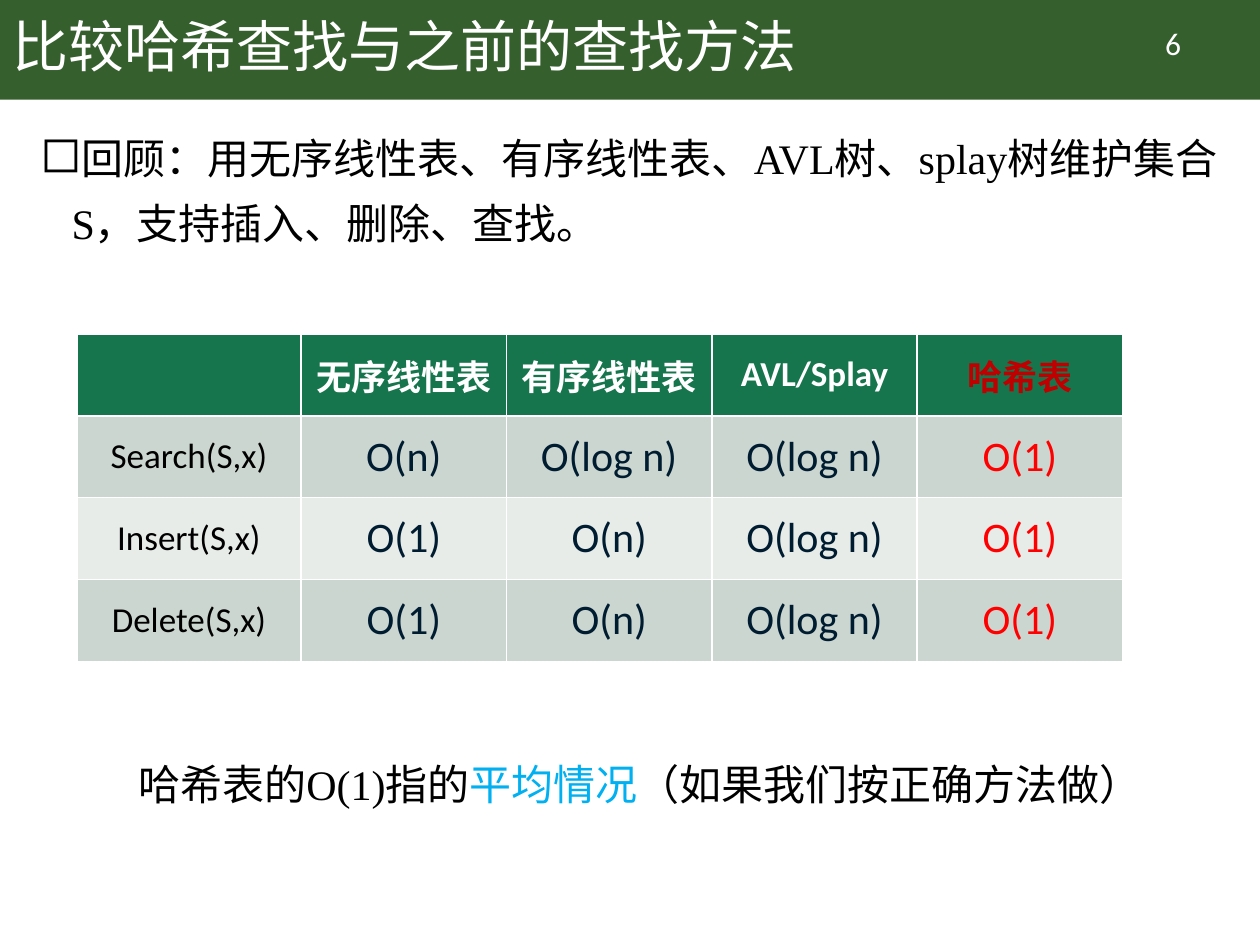
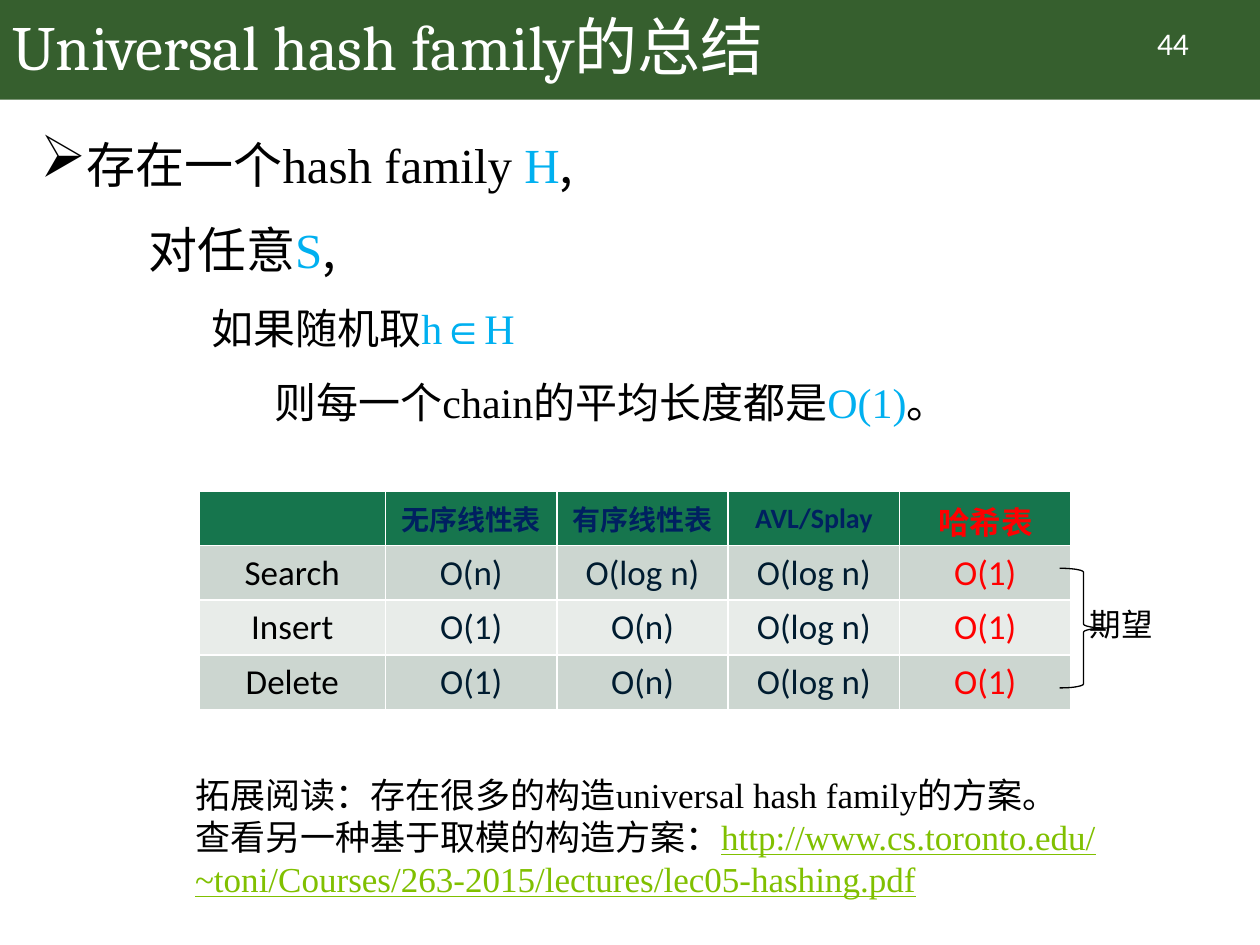
from pptx import Presentation
from pptx.dml.color import RGBColor
from pptx.enum.shapes import MSO_SHAPE
from pptx.enum.text import MSO_ANCHOR, MSO_AUTO_SIZE, PP_ALIGN
from pptx.oxml import parse_xml
from pptx.oxml.ns import nsdecls
from pptx.util import Inches, Pt

BAND, HEADER, STRIPES = "365F2E", "16754D", ("CCD6D0", "E8ECE9")
WHITE, BLACK, NAVY, INK = "FFFFFF", "000000", "002060", "001C30"
SKY, RED, DARK_RED, LINK = "00B0F0", "FF0000", "C00000", "80C000"
HAN, ROMAN, SANS, SERIF = "Noto Sans CJK SC", "Times New Roman", "Calibri", "Cambria"

METHODS = ["", "无序线性表", "有序线性表", "AVL/Splay", "哈希表"]
COSTS = {
    "Search": ["O(n)", "O(log n)", "O(log n)", "O(1)"],
    "Insert": ["O(1)", "O(n)", "O(log n)", "O(1)"],
    "Delete": ["O(1)", "O(n)", "O(log n)", "O(1)"],
}

COMPARISON = {
    "title": [("比较哈希查找与之前的查找方法", HAN, WHITE)],
    "title_size": 32,
    "number": "6",
    "bullet": "◻",
    "body": [(24, 0.25, [
        ("回顾：用无序线性表、有序线性表、", HAN, BLACK), ("AVL", ROMAN, BLACK),
        ("树、", HAN, BLACK), ("splay", ROMAN, BLACK), ("树维护集合", HAN, BLACK),
        ("S", ROMAN, BLACK), ("，支持插入、删除、查找。", HAN, BLACK)])],
    "table": {
        "place": (0.61, 2.65), "columns": (1.78, 1.63), "row": 0.65, "argument": "(S,x)",
        "header": (20, WHITE), "hash_header": (20, DARK_RED), "cost_size": 24,
    },
    "note": {
        "place": (1, 5.97, 8.3, 0.5), "size": 24,
        "lines": [[
            ("哈希表的", HAN, BLACK), ("O(1)", ROMAN, BLACK), ("指的", HAN, BLACK),
            ("平均情况", HAN, SKY), ("（如果我们按正确方法做）", HAN, BLACK)]],
    },
}

SUMMARY = {
    "title": [("Universal hash family的", SERIF, WHITE), ("总结", SANS, WHITE)],
    "title_size": 36,
    "number": "44",
    "bullet": "➢",
    "body": [
        (28, 0.25, [("存在一个", HAN, BLACK), ("hash family ", ROMAN, BLACK),
                    ("H", ROMAN, SKY), (",", HAN, BLACK)]),
        (28, 0.86, [("对任意", HAN, BLACK), ("S", ROMAN, SKY), (",", HAN, BLACK)]),
        (24, 1.36, [("如果随机取", HAN, BLACK), ("h∈H", ROMAN, SKY)]),
        (24, 1.86, [("则每一个", HAN, BLACK), ("chain", ROMAN, BLACK),
                    ("的平均长度都是", HAN, BLACK), ("O(1)", ROMAN, SKY), ("。", HAN, BLACK)]),
    ],
    "table": {
        "place": (1.58, 3.9), "columns": (1.48, 1.36), "row": 0.43, "argument": "",
        "header": (16, NAVY), "hash_header": (18, RED), "cost_size": 20,
    },
    "note": {
        "place": (1.45, 6.09, 7.8, 1.11), "size": 20,
        "lines": [
            [("拓展阅读：存在很多的构造", HAN, BLACK), ("universal hash family", ROMAN, BLACK),
             ("的方案。", HAN, BLACK)],
            [("查看另一种基于取模的构造方案：", HAN, BLACK),
             ("http://www.cs.toronto.edu/", ROMAN, LINK), None,
             ("~toni/Courses/263-2015/lectures/lec05-hashing.pdf", ROMAN, LINK)],
        ],
    },
}


def color(value):
    """Turn a hex string into a colour."""
    return RGBColor.from_string(value)


def style(span, size, face, ink, bold=False):
    """Format one run."""
    font = span.font
    font.size, font.name, font.bold = Pt(size), face, bold
    font.color.rgb = color(ink)
    if face == HAN:
        font._element.get_or_change_to_solidFill()
        font._element.find("{*}latin").addnext(
            parse_xml(f'<a:ea {nsdecls("a")} typeface="{HAN}"/>'))
    if ink == LINK:
        font.underline = True


def write(para, size, spans):
    """Add formatted runs to a paragraph; None is a line break."""
    for item in spans:
        if item is None:
            para.add_line_break()
            continue
        text, face, ink = item
        span = para.add_run()
        span.text = text
        style(span, size, face, ink)


def add_text(page, place, lines, size, wrap=True):
    """Add a text box with one paragraph per line and return its frame."""
    frame = page.shapes.add_textbox(*map(Inches, place)).text_frame
    frame.word_wrap = wrap
    for index, spans in enumerate(lines):
        para = frame.add_paragraph() if index else frame.paragraphs[0]
        write(para, size, spans)
    return frame


def add_header(page, content):
    """Draw the band behind the title and the page number."""
    title = page.shapes.title
    band = page.shapes.add_shape(MSO_SHAPE.RECTANGLE, 0, 0, Inches(10), Inches(0.79))
    band.shadow.inherit = False
    band.fill.solid()
    band.fill.fore_color.rgb = color(BAND)
    band.line.fill.background()
    title.element.addprevious(band.element)
    title.left, title.top, title.width, title.height = map(Inches, (0, 0, 8.62, 0.79))
    frame = title.text_frame
    frame.auto_size, frame.vertical_anchor = MSO_AUTO_SIZE.NONE, MSO_ANCHOR.MIDDLE
    para = frame.paragraphs[0]
    para.alignment, para.line_spacing = PP_ALIGN.LEFT, 0.9
    write(para, content["title_size"], content["title"])
    number = add_text(page, (8.71, 0.14, 1.2, 0.4), [[(content["number"], SANS, WHITE)]], 18)
    number.paragraphs[0].alignment = PP_ALIGN.CENTER


def add_body(page, bullet, lines):
    """Add the indented statements, the first one with a bullet."""
    frame = add_text(page, (0.22, 0.88, 9.57, 6.47), [], 24)
    for level, (size, indent, spans) in enumerate(lines):
        para = frame.add_paragraph() if level else frame.paragraphs[0]
        para.level, para.line_spacing = level, 1.3
        properties = para._p.get_or_add_pPr()
        properties.set("marL", str(Inches(indent)))
        properties.set("indent", str(0 if level else Inches(-0.39)))
        if level:
            para.space_before = Pt(5)
        else:
            for tag in (f'buClr {nsdecls("a")}><a:srgbClr val="{BLACK}"/></a:buClr',
                        f'buSzPct {nsdecls("a")} val="120000"/',
                        f'buChar {nsdecls("a")} char="{bullet}"/'):
                properties.append(parse_xml(f"<a:{tag}>"))
        write(para, size, spans)


def add_costs(page, look):
    """Add the table of running times."""
    rows = [METHODS] + [[name + look["argument"], *costs] for name, costs in COSTS.items()]
    first, other = look["columns"]
    widths = [first] + [other] * (len(METHODS) - 1)
    size = sum(widths), look["row"] * len(rows)
    table = page.shapes.add_table(
        len(rows), len(widths), *map(Inches, look["place"] + size)).table
    for column, width in zip(table.columns, widths):
        column.width = Inches(width)
    for r, row in enumerate(rows):
        for c, text in enumerate(row):
            cell = table.cell(r, c)
            cell.fill.solid()
            cell.fill.fore_color.rgb = color(STRIPES[(r - 1) % 2] if r else HEADER)
            cell.vertical_anchor = MSO_ANCHOR.MIDDLE
            para = cell.text_frame.paragraphs[0]
            para.alignment = PP_ALIGN.CENTER
            is_hash = c == len(row) - 1
            if r == 0:
                points, ink = look["hash_header" if is_hash else "header"]
            elif c == 0:
                points, ink = 20, BLACK
            else:
                points, ink = look["cost_size"], RED if is_hash else INK
            if text:
                para.text = text
                style(para.runs[0], points, SANS, ink, bold=r == 0)


def add_expectation(page):
    """Mark the hash column with a brace and its label."""
    add_text(page, (8.55, 4.75, 0.7, 0.4), [[("期望", SANS, BLACK)]], 18, wrap=False)
    brace = page.shapes.add_shape(
        MSO_SHAPE.RIGHT_BRACE, *map(Inches, (8.41, 4.51, 0.38, 0.95)))
    brace.shadow.inherit = False
    brace.fill.background()
    brace.line.color.rgb = color(BLACK)
    brace.line.width = Pt(0.75)


def add_page(deck, content):
    """Build one slide from its content."""
    page = deck.slides.add_slide(deck.slide_layouts[5])
    add_header(page, content)
    add_body(page, content["bullet"], content["body"])
    add_costs(page, content["table"])
    note = content["note"]
    add_text(page, note["place"], note["lines"], note["size"])
    return page


def main():
    """Build and save the deck."""
    deck = Presentation()
    deck.slide_width, deck.slide_height = Inches(10), Inches(7.5)
    add_page(deck, COMPARISON)
    add_expectation(add_page(deck, SUMMARY))
    deck.save("out.pptx")


if __name__ == "__main__":
    main()
